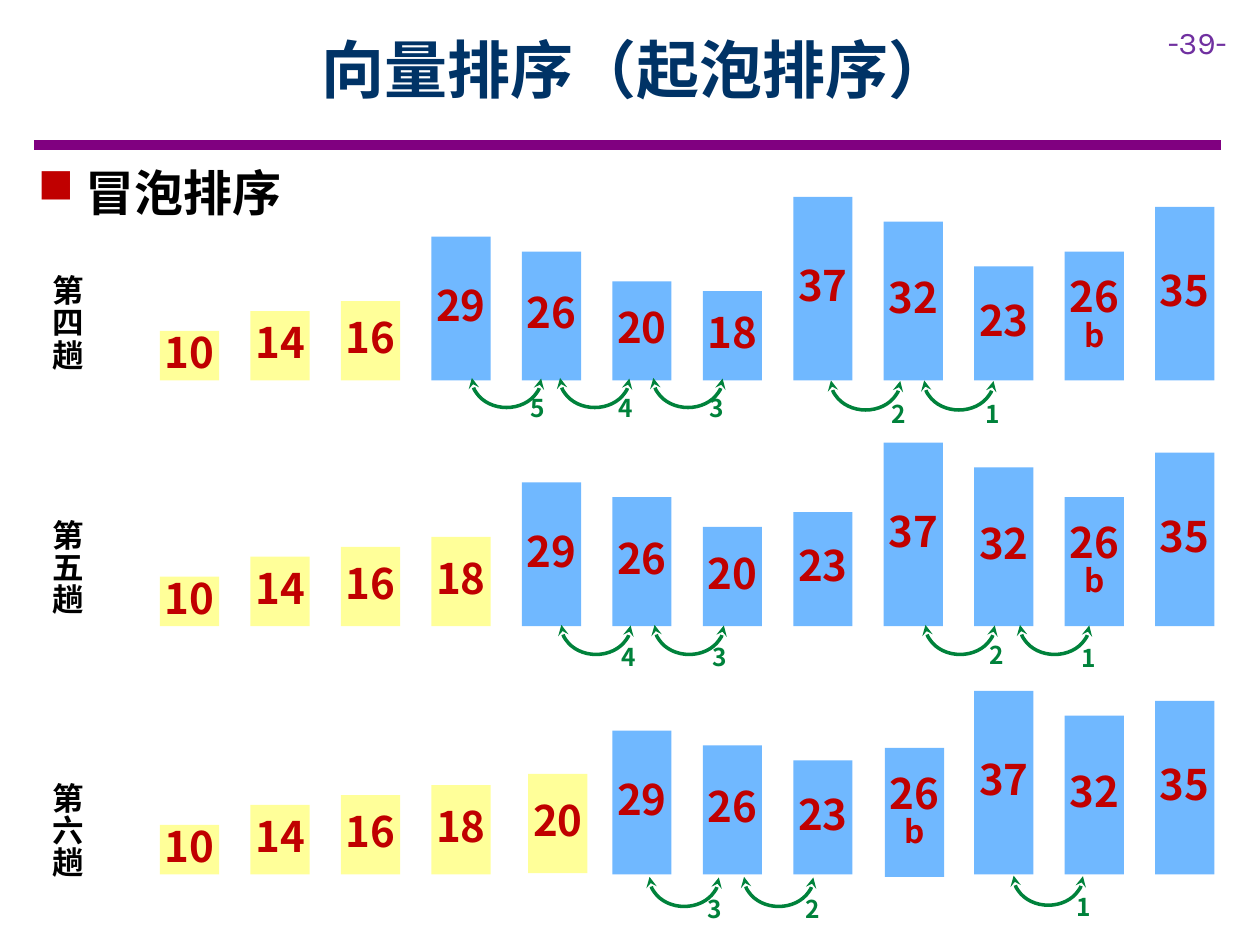
import pptx
import pptx.util
import pptx.dml.color
import pptx.enum.shapes
import pptx.enum.text
import pptx.oxml
import pptx.oxml.ns

Inches = pptx.util.Inches
COLORS = {
    "background": "FFFFFF", "rule": "800080", "page": "7030A0",
    "title": "003366", "text": "000000", "accent": "C00000",
    "sorted": "FFFF99", "unsorted": "70B8FF", "swap": "00823B",
}
BAR_LEFT, BAR_STEP, BAR_WIDTH = 1.27, 0.718, 0.47
UNITS_PER_INCH = 25.4
PASSES = [
    {
        "name": "第四趟", "label_top": 2.15, "base": 3.02, "sorted": 3,
        "bars": "10 14 16 29 26 20 18 37 32 23 26b 35",
        "swaps": [(1, 7.38, 2.75, 7.72, 3.15), (2, 6.64, 2.75, 6.97, 3.15),
                  (3, 5.23, 2.73, 5.53, 3.11), (4, 4.49, 2.73, 4.81, 3.11),
                  (5, 3.79, 2.73, 4.11, 3.11)],
    },
    {
        "name": "第五趟", "label_top": 4.09, "base": 4.97, "sorted": 4,
        "bars": "10 14 16 18 29 26 20 23 37 32 26b 35",
        "swaps": [(1, 8.14, 4.69, 8.48, 5.09), (2, 7.39, 4.69, 7.75, 5.07),
                  (3, 5.24, 4.69, 5.55, 5.08), (4, 4.5, 4.69, 4.83, 5.08)],
    },
    {
        "name": "第六趟", "label_top": 6.18, "base": 6.94, "sorted": 5,
        "bars": "10 14 16 18 20 29 26 23 26b 37 32 35",
        "nudges": {"20": (0.05, -0.01), "26b": (0.01, 0.02)},
        "swaps": [(1, 8.09, 6.68, 8.44, 7.07), (2, 5.95, 6.69, 6.29, 7.08),
                  (3, 5.2, 6.69, 5.51, 7.08)],
    },
]


class SlideBuilder:
    font = "Noto Sans CJK SC"
    line_spacing = 0.85

    def __init__(self, slide):
        self.slide = slide

    def color(self, name):
        return pptx.dml.color.RGBColor.from_string(COLORS[name])

    def element(self, parent, tag, **attributes):
        child = pptx.oxml.parse_xml(f"<a:{tag} {pptx.oxml.ns.nsdecls('a')}/>")
        for key, value in attributes.items():
            child.set(key, value)
        parent.append(child)
        return child

    def add_text_run(self, paragraph, text, size, color, align="LEFT", font=None, bold=True):
        paragraph.alignment = getattr(pptx.enum.text.PP_ALIGN, align)
        if font is None:
            paragraph.line_spacing = self.line_spacing
        run = paragraph.add_run()
        run.text = text
        run.font.name = font or self.font
        run.font.size = pptx.util.Pt(size)
        run.font.bold = bold
        run.font.color.rgb = self.color(color)
        self.element(run.font._element, "ea", typeface=font or self.font)

    def text(self, left, top, width, height, text, size, color,
             wrap=True, anchor="TOP", **style):
        shape = self.slide.shapes.add_textbox(
            Inches(left), Inches(top), Inches(width), Inches(height))
        frame = shape.text_frame
        frame.word_wrap = wrap
        frame.vertical_anchor = getattr(pptx.enum.text.MSO_ANCHOR, anchor)
        self.add_text_run(frame.paragraphs[0], text, size, color, **style)
        return frame.paragraphs[0]

    def bullet(self, left, top, width, height, text, size, color):
        paragraph = self.text(left, top, width, height, text, size, color)
        properties = paragraph._p.get_or_add_pPr()
        indent = Inches(0.38)
        properties.set("marL", str(indent))
        properties.set("indent", str(-indent))
        bullet_color = self.element(properties, "buClr")
        self.element(bullet_color, "srgbClr", val=COLORS["accent"])
        self.element(properties, "buChar", char="■")

    def rule(self, left, top, right):
        connector = self.slide.shapes.add_connector(
            pptx.enum.shapes.MSO_CONNECTOR.STRAIGHT,
            Inches(left), Inches(top), Inches(right), Inches(top))
        connector.line.color.rgb = self.color("rule")
        connector.line.width = pptx.util.Pt(6)
        self.element(connector._element.spPr, "effectLst")

    def bar(self, left, base, label, fill):
        number = label.rstrip("b")
        height = int(number) / UNITS_PER_INCH
        shape = self.slide.shapes.add_shape(
            pptx.enum.shapes.MSO_SHAPE.RECTANGLE,
            Inches(left), Inches(base - height), Inches(BAR_WIDTH), Inches(height))
        shape.shadow.inherit = False
        shape.fill.solid()
        shape.fill.fore_color.rgb = self.color(fill)
        shape.line.fill.background()
        frame = shape.text_frame
        frame.word_wrap = True
        frame.vertical_anchor = pptx.enum.text.MSO_ANCHOR.MIDDLE
        frame.margin_left = frame.margin_right = 0
        frame.margin_top = frame.margin_bottom = Inches(0.1)
        self.add_text_run(frame.paragraphs[0], number, 24, "accent", "CENTER")
        if label != number:
            self.add_text_run(frame.add_paragraph(), "b", 18, "accent", "CENTER")

    def swap(self, order, arc_left, arc_top, label_left, label_top):
        arc = self.slide.shapes.add_shape(
            pptx.enum.shapes.MSO_SHAPE.ARC,
            Inches(arc_left), Inches(arc_top), Inches(0.46), Inches(0.55))
        arc.rotation = 90
        arc.adjustments[0] = 162
        arc.adjustments[1] = 54.6
        arc.shadow.inherit = False
        arc.fill.background()
        arc.line.color.rgb = self.color("swap")
        arc.line.width = pptx.util.Pt(2)
        for end in ("headEnd", "tailEnd"):
            self.element(arc.line._get_or_add_ln(), end, type="stealth")
        self.text(label_left, label_top, 0.32, 0.34, str(order), 14, "swap",
                  wrap=False, align="CENTER")

    def sorting_pass(self, row):
        nudges = row.get("nudges", {})
        for index, label in enumerate(row["bars"].split()):
            right, down = nudges.get(label, (0, 0))
            fill = "sorted" if index < row["sorted"] else "unsorted"
            self.bar(BAR_LEFT + index * BAR_STEP + right, row["base"] + down, label, fill)
        for swap in row["swaps"]:
            self.swap(*swap)
        self.text(0.32, row["label_top"], 0.52, 1.01, row["name"], 18, "text")


def main():
    presentation = pptx.Presentation()
    presentation.slide_width = Inches(10)
    presentation.slide_height = Inches(7.5)
    slide = presentation.slides.add_slide(presentation.slide_layouts[6])
    builder = SlideBuilder(slide)
    slide.background.fill.solid()
    slide.background.fill.fore_color.rgb = builder.color("background")
    builder.rule(0.27, 1.15, 9.69)
    builder.text(9.17, 0.13, 0.83, 0.4, "-39-", 18, "page", font="Karla", bold=False)
    builder.bullet(0.2, 1.31, 9.57, 0.57, "冒泡排序", 28, "text")
    builder.text(0.9, 0.09, 8.31, 1, "向量排序（起泡排序）", 36, "title",
                 anchor="MIDDLE", align="CENTER")
    for row in PASSES:
        builder.sorting_pass(row)
    presentation.save("out.pptx")


if __name__ == "__main__":
    main()
